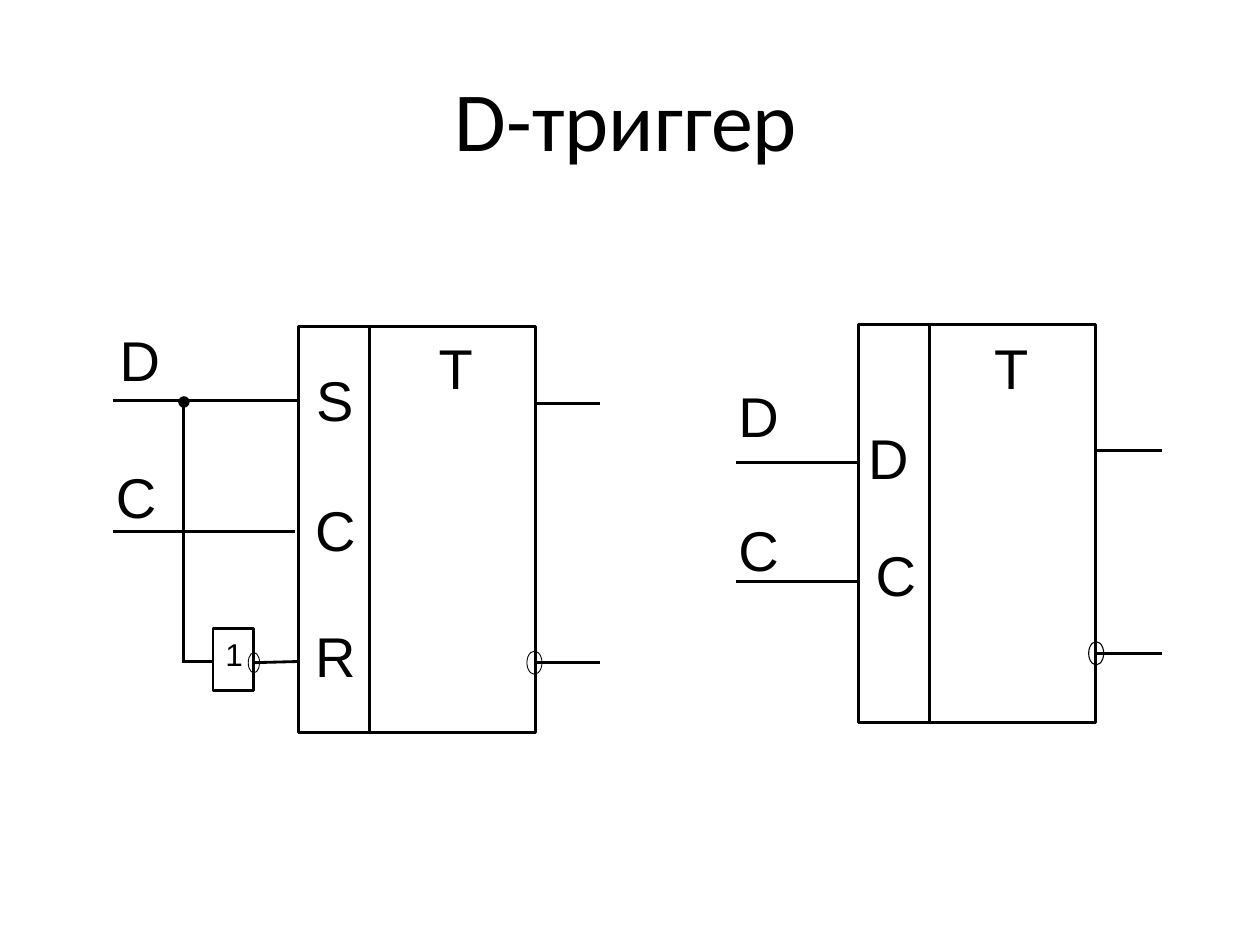
from lxml.etree import SubElement
from pptx import Presentation
from pptx.dml.color import RGBColor
from pptx.enum.shapes import MSO_CONNECTOR as Link, MSO_SHAPE as Kind
from pptx.enum.text import MSO_ANCHOR as Anchor, PP_ALIGN as Align
from pptx.oxml.ns import qn
from pptx.util import Pt

BLACK = "000000"


def paint(fill, color=BLACK):
    """Fill an area, a line or a font with one hex colour."""
    fill.solid()
    fill.fore_color.rgb = RGBColor.from_string(color)


def write(frame, text, size=32, font="Arial", align=Align.LEFT,
          anchor=Anchor.TOP, pad=(0, 0), wrap=False):
    """Put formatted text in a text frame."""
    frame.text = text
    frame.word_wrap = wrap
    frame.vertical_anchor = anchor
    frame.margin_left = frame.margin_right = Pt(pad[0])
    frame.margin_top = frame.margin_bottom = Pt(pad[1])
    para = frame.paragraphs[0]
    para.alignment = align
    face = para.runs[0].font
    face.size = Pt(size)
    face.name = font
    paint(face.fill)


deck = Presentation()
deck.slide_width, deck.slide_height = Pt(720), Pt(540)
slide = deck.slides.add_slide(deck.slide_layouts[5])
shapes = slide.shapes

title = shapes.title
title.left, title.top, title.width, title.height = Pt(33.8), Pt(22.3), Pt(648), Pt(90)
write(title.text_frame, "D-триггер", size=48, font="Calibri",
      align=Align.CENTER, anchor=Anchor.MIDDLE, pad=(7.2, 3.6), wrap=True)

# Latch bodies: a narrow input column beside the main field
wide, split = 135.4, 40.6
for left, top, high, weight in [(170.6, 186.5, 232, 1.62), (490.5, 185.6, 227.2, 1.76)]:
    mid, right, base = left + split, left + wide, top + high
    pen = shapes.build_freeform(Pt(mid), Pt(top))
    pen.add_line_segments(
        [(Pt(x), Pt(y)) for x, y in [(right, top), (right, base), (mid, base), (mid, top),
                                     (left, top), (left, base), (mid, base)]],
        close=True)
    body = pen.convert_to_shape()
    body.shadow.inherit = False
    body.fill.background()
    paint(body.line.fill)
    body.line.width = Pt(weight)

# Wires: x1, y1, x2, y2, weight
wires = [
    (64.8, 229, 170.6, 229, 1.62),
    (64.8, 303.8, 168.5, 303.8, 1.62),
    (105.1, 229, 105.1, 378.7, 1.62),
    (105.1, 378, 121.7, 378, 1.76),
    (144.7, 378.7, 170.6, 378, 1.62),
    (306, 230.4, 342.7, 230.4, 1.62),
    (306, 378.7, 342.7, 378.7, 1.62),
    (420.5, 264.2, 490.5, 264.2, 1.76),
    (420.5, 332.3, 490.5, 332.3, 1.76),
    (626, 257.2, 663.8, 257.2, 1.76),
    (626, 373.7, 663.8, 373.7, 1.76),
]
for x1, y1, x2, y2, weight in wires:
    wire = shapes.add_connector(Link.STRAIGHT, Pt(x1), Pt(y1), Pt(x2), Pt(y2))
    paint(wire.line.fill)
    wire.line.width = Pt(weight)
    SubElement(wire._element.spPr, qn("a:effectLst"))

# Inverter, inversion bubbles and junction: kind, centre, size, weight, fill
marks = [
    (Kind.RECTANGLE, 133.2, 376.9, 23, 35.3, 1.62, None),
    (Kind.OVAL, 145.1, 378.7, 6.5, 11.5, 0.51, None),
    (Kind.OVAL, 305.4, 378.7, 8.6, 13.3, 0.51, None),
    (Kind.OVAL, 626.4, 373.3, 8.6, 13.3, 0.62, None),
    (Kind.OVAL, 105.1, 229.7, 5.8, 5.8, 0.74, BLACK),
]
for kind, x, y, w, h, weight, color in marks:
    mark = shapes.add_shape(kind, Pt(x - w / 2), Pt(y - h / 2), Pt(w), Pt(h))
    mark.shadow.inherit = False
    if color:
        paint(mark.fill, color)
    else:
        mark.fill.background()
    paint(mark.line.fill)
    mark.line.width = Pt(weight)
    if kind == Kind.RECTANGLE:
        write(mark.text_frame, "1", size=18, pad=(7.2, 3.6), wrap=True)

# Pin names: text, left, top
widths = {"D": 23.8, "C": 20.2, "R": 20.2, "S": 18, "T": 18}
pins = [
    ("S", 180.7, 208.8), ("C", 180, 283), ("R", 180, 355), ("T", 250.6, 190.8),
    ("D", 68.4, 185.8), ("C", 66.2, 264.2),
    ("D", 496.1, 241.9), ("C", 500.4, 308.9), ("T", 568.1, 190.8),
    ("D", 421.9, 218.2), ("C", 421.9, 294.5),
]
for text, left, top in pins:
    pin = shapes.add_textbox(Pt(left), Pt(top), Pt(widths[text]), Pt(38.2))
    write(pin.text_frame, text)

deck.save("out.pptx")
